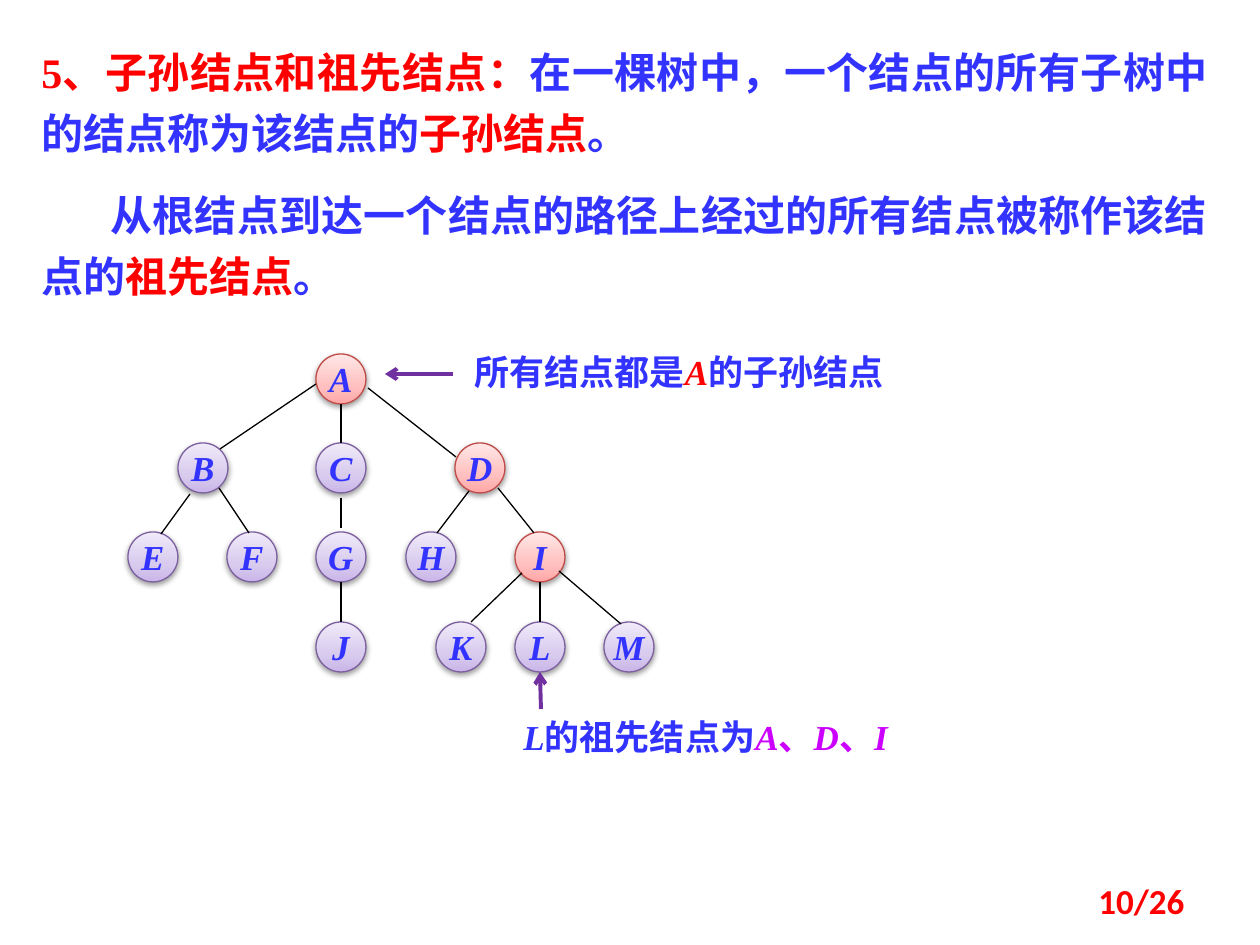
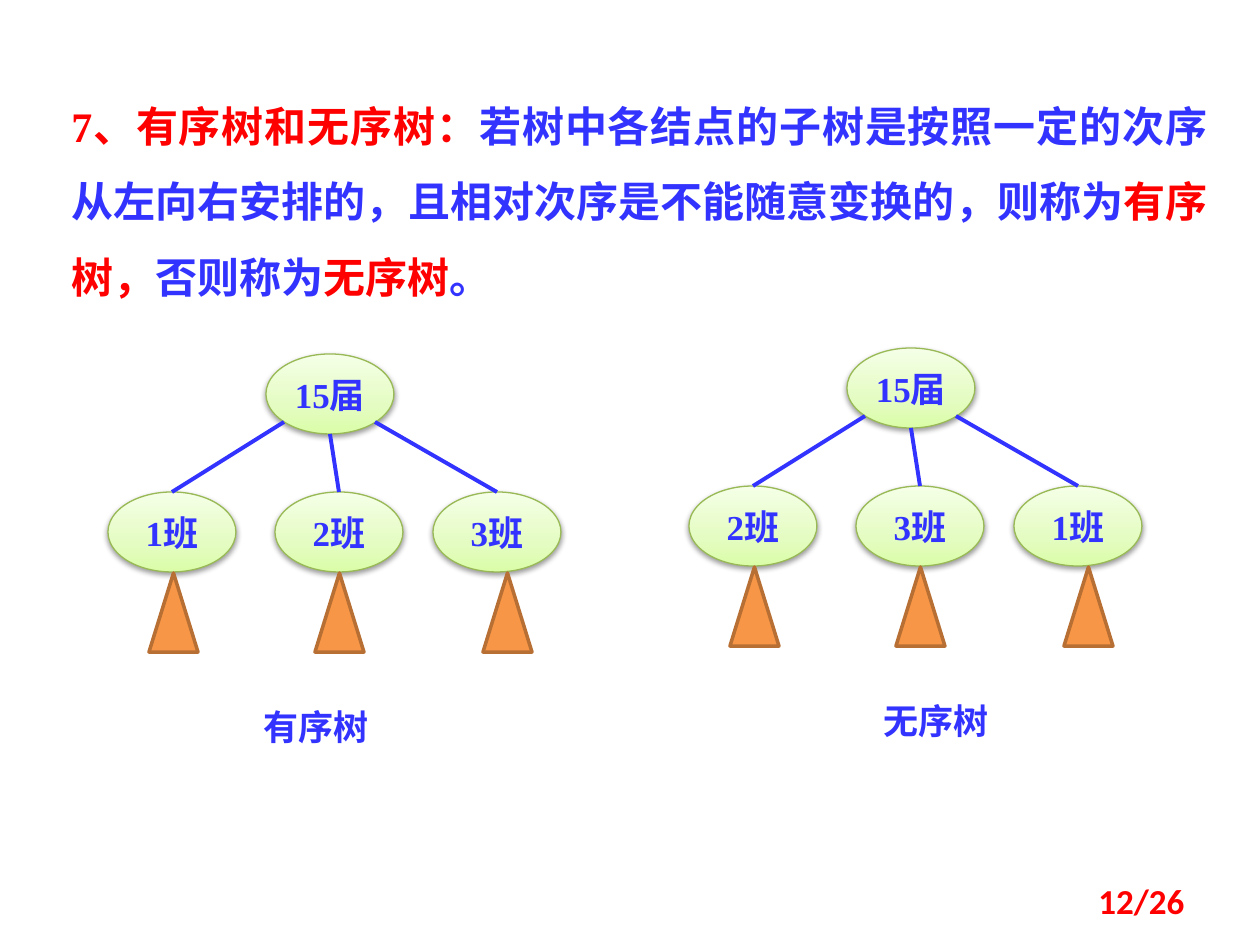
from copy import deepcopy

from lxml.etree import SubElement
from pptx import Presentation
from pptx.dml.color import RGBColor
from pptx.enum.shapes import MSO_CONNECTOR, MSO_SHAPE as Shape
from pptx.enum.text import MSO_ANCHOR as Anchor, PP_ALIGN as Align
from pptx.oxml.ns import qn
from pptx.util import Emu, Inches, Pt

PX_PER_INCH = 126
BLUE = RGBColor(0x33, 0x33, 0xFF)
RED = RGBColor(0xFF, 0x00, 0x00)
MAGENTA = RGBColor(0xCC, 0x00, 0xFF)
PURPLE = RGBColor(0x70, 0x30, 0xA0)
BLACK = RGBColor(0x00, 0x00, 0x00)
ORANGE = RGBColor(0xF7, 0x96, 0x46)
BROWN = RGBColor(0xB7, 0x6F, 0x34)
PINK_STOPS = RGBColor(0xFF, 0xA6, 0xA5), RGBColor(0xFF, 0xC0, 0xBF), RGBColor(0xFF, 0xE7, 0xE7)
LILAC_STOPS = RGBColor(0xC9, 0xB5, 0xE8), RGBColor(0xD8, 0xCB, 0xEE), RGBColor(0xF0, 0xEA, 0xF9)
GREEN_STOPS = RGBColor(0xDA, 0xFD, 0xA7), RGBColor(0xE4, 0xFC, 0xC2), RGBColor(0xF5, 0xFF, 0xE7)
PINK = PINK_STOPS, RGBColor(0xBF, 0x4C, 0x48)
LILAC = LILAC_STOPS, RGBColor(0x7D, 0x60, 0xA0)
GREEN = GREEN_STOPS, RGBColor(0x98, 0xB9, 0x55)

SERIF = "Times New Roman"
CHINESE = "Noto Sans CJK SC"

NODE = 50
NODES = {
    "A": (188, 0), "B": (50, 1), "C": (188, 1), "D": (327, 1),
    "E": (0, 2), "F": (99, 2), "G": (188, 2), "H": (278, 2), "I": (387, 2),
    "J": (188, 3), "K": (308, 3), "L": (387, 3), "M": (476, 3),
}
PATH_TO_L = "ADI"
UPRIGHT_EDGES = "AC", "GJ", "IL"
EDGES = [
    (188, 30, 92, 95), (240, 34, 328, 103),
    (62, 140, 33, 180), (91, 134, 121, 179), (213, 144, 213, 174),
    (341, 137, 309, 179), (370, 134, 406, 179),
    (394, 219, 343, 268), (431, 217, 493, 270),
]

OVAL_WIDTH, OVAL_HEIGHT = 128, 80
CLASS_LEFTS = 0, 167, 325
BRANCH_STARTS = (176, 68), (222, 80), (267, 68)
TRIANGLE_LEFTS = 41, 207, 375


def px(*lengths):
    return [Emu(round(length * Inches(1) / PX_PER_INCH)) for length in lengths]


def write_spans(para, spans, size=20, font=SERIF):
    for text, colour, italic in spans:
        span = para.add_run()
        span.text = text
        span.font.size = Pt(size)
        span.font.name = font
        span.font.bold = True
        span.font.italic = italic
        span.font.color.rgb = colour
        SubElement(span.font._element, qn("a:ea"), typeface=CHINESE)


def add_text(page, box, spans, align=Align.LEFT, size=20, font=SERIF):
    frame = page.shapes.add_textbox(*px(*box)).text_frame
    frame.word_wrap = True
    para = frame.paragraphs[0]
    para.alignment = align
    write_spans(para, spans, size, font)
    return frame


def add_line(page, ends, colour, width, arrow=False):
    line = page.shapes.add_connector(MSO_CONNECTOR.STRAIGHT, *px(*ends))
    line.line.color.rgb = colour
    line.line.width = Pt(width)
    if arrow:
        SubElement(line.line._get_or_add_ln(), qn("a:tailEnd"), type="arrow")
    SubElement(line._element.spPr, qn("a:effectLst"))
    return line


def add_shadow(shape):
    shape.shadow.inherit = False
    effects = shape._element.spPr.find(qn("a:effectLst"))
    shadow = SubElement(effects, qn("a:outerShdw"), blurRad="40000", dist="20000",
                        dir="5400000", rotWithShape="0")
    colour = SubElement(shadow, qn("a:srgbClr"), val="000000")
    SubElement(colour, qn("a:alpha"), val="38000")


def add_oval(page, box, label, look, italic=False):
    stops, outline = look
    oval = page.shapes.add_shape(Shape.OVAL, *px(*box))
    oval.fill.gradient()
    oval.fill.gradient_angle = 90
    stop_list = oval._element.spPr.find(".//" + qn("a:gsLst"))
    stop_list.insert(1, deepcopy(stop_list[0]))
    for stop, place, colour in zip(oval.fill.gradient_stops, (0, 0.35, 1), stops):
        stop.position = place
        stop.color.rgb = colour
    oval.line.color.rgb = outline
    oval.line.width = Pt(0.75)
    add_shadow(oval)
    frame = oval.text_frame
    frame.word_wrap = False
    frame.vertical_anchor = Anchor.MIDDLE
    frame.margin_left = frame.margin_right = frame.margin_top = frame.margin_bottom = 0
    frame.paragraphs[0].alignment = Align.CENTER
    write_spans(frame.paragraphs[0], [(label, BLUE, italic)])
    return oval


def add_page(deck, number):
    page = deck.slides.add_slide(deck.slide_layouts[6])
    footer = add_text(page, (903, 876, 294, 50), [(f"{number}/26", RED, False)],
                      Align.RIGHT, font="Calibri")
    footer.vertical_anchor = Anchor.MIDDLE
    return page


def add_node_tree(page, left, top):
    ovals = {}
    for name, (x, level) in NODES.items():
        box = left + x, top + level * 268 // 3, NODE, NODE
        ovals[name] = add_oval(page, box, name, PINK if name in PATH_TO_L else LILAC, True)
    for x1, y1, x2, y2 in EDGES:
        add_line(page, (left + x1, top + y1, left + x2, top + y2), BLACK, 0.75)
    for parent, child in UPRIGHT_EDGES:
        x, level = NODES[parent]
        middle = left + x + NODE // 2
        start = top + level * 268 // 3 + NODE
        edge = add_line(page, (middle, start, middle, start + 39), BLACK, 0.75)
        edge.end_connect(ovals[child], 0)


def add_class_tree(page, left, top, classes, caption, caption_left):
    add_oval(page, (left + 158, top, OVAL_WIDTH, OVAL_HEIGHT), "15届", GREEN)
    class_top = top + 138
    for name, x, (start_x, start_y), triangle_x in zip(
            classes, CLASS_LEFTS, BRANCH_STARTS, TRIANGLE_LEFTS):
        oval = add_oval(page, (left + x, class_top, OVAL_WIDTH, OVAL_HEIGHT), name, GREEN)
        ends = left + start_x, top + start_y, left + x + OVAL_WIDTH // 2, class_top
        add_line(page, ends, BLUE, 2.25).end_connect(oval, 0)
        triangle = page.shapes.add_shape(
            Shape.ISOSCELES_TRIANGLE, *px(left + triangle_x, top + 219, 49, 79))
        triangle.shadow.inherit = False
        triangle.fill.solid()
        triangle.fill.fore_color.rgb = ORANGE
        triangle.line.color.rgb = BROWN
        triangle.line.width = Pt(2)
    add_text(page, (left + caption_left, top + 345, 178, 55),
             [(caption, BLUE, False)], Align.CENTER)


def add_descendants_page(deck):
    page = add_page(deck, 10)
    frame = add_text(page, (29, 29, 1191, 286), [
        ("5、子孙结点和祖先结点：", RED, False),
        ("在一棵树中，一个结点的所有子树中的结点称为该结点的", BLUE, False),
        ("子孙结点", RED, False),
        ("。", BLUE, False),
    ], Align.JUSTIFY, 24)
    ancestors = frame.add_paragraph()
    ancestors.alignment = Align.JUSTIFY
    ancestors._p.get_or_add_pPr().set("indent", str(px(69)[0]))
    write_spans(ancestors, [
        ("从根结点到达一个结点的路径上经过的所有结点被称作该结点的", BLUE, False),
        ("祖先结点", RED, False),
        ("。", BLUE, False),
    ], 24)
    for para in frame.paragraphs:
        para.line_spacing = Pt(35)
        para.space_before = Pt(12)
    add_node_tree(page, 128, 354)
    add_text(page, (462, 344, 462, 55), [
        ("所有结点都是", BLUE, False), ("A", RED, True), ("的子孙结点", BLUE, False)])
    add_text(page, (511, 709, 462, 55), [
        ("L", BLUE, True), ("的祖先结点为", BLUE, False),
        ("A", MAGENTA, True), ("、", MAGENTA, False),
        ("D", MAGENTA, True), ("、", MAGENTA, False), ("I", MAGENTA, True)])
    add_line(page, (453, 374, 385, 374), PURPLE, 2.25, arrow=True)
    add_line(page, (541, 709, 540, 672), PURPLE, 2.25, arrow=True)


def add_ordered_trees_page(deck):
    page = add_page(deck, 12)
    frame = add_text(page, (59, 69, 1161, 242), [
        ("7、有序树和无序树：", RED, False),
        ("若树中各结点的子树是按照一定的次序从左向右安排的，"
         "且相对次序是不能随意变换的，则称为", BLUE, False),
        ("有序树，", RED, False),
        ("否则称为", BLUE, False),
        ("无序树", RED, False),
        ("。", BLUE, False),
    ], Align.JUSTIFY, 24)
    frame.paragraphs[0].line_spacing = 1.5
    add_class_tree(page, 108, 354, ("1班", "2班", "3班"), "有序树", 119)
    add_class_tree(page, 689, 348, ("2班", "3班", "1班"), "无序树", 158)


def main():
    deck = Presentation()
    deck.slide_width, deck.slide_height = Inches(10), Inches(7.5)
    add_descendants_page(deck)
    add_ordered_trees_page(deck)
    deck.save("out.pptx")


if __name__ == "__main__":
    main()
